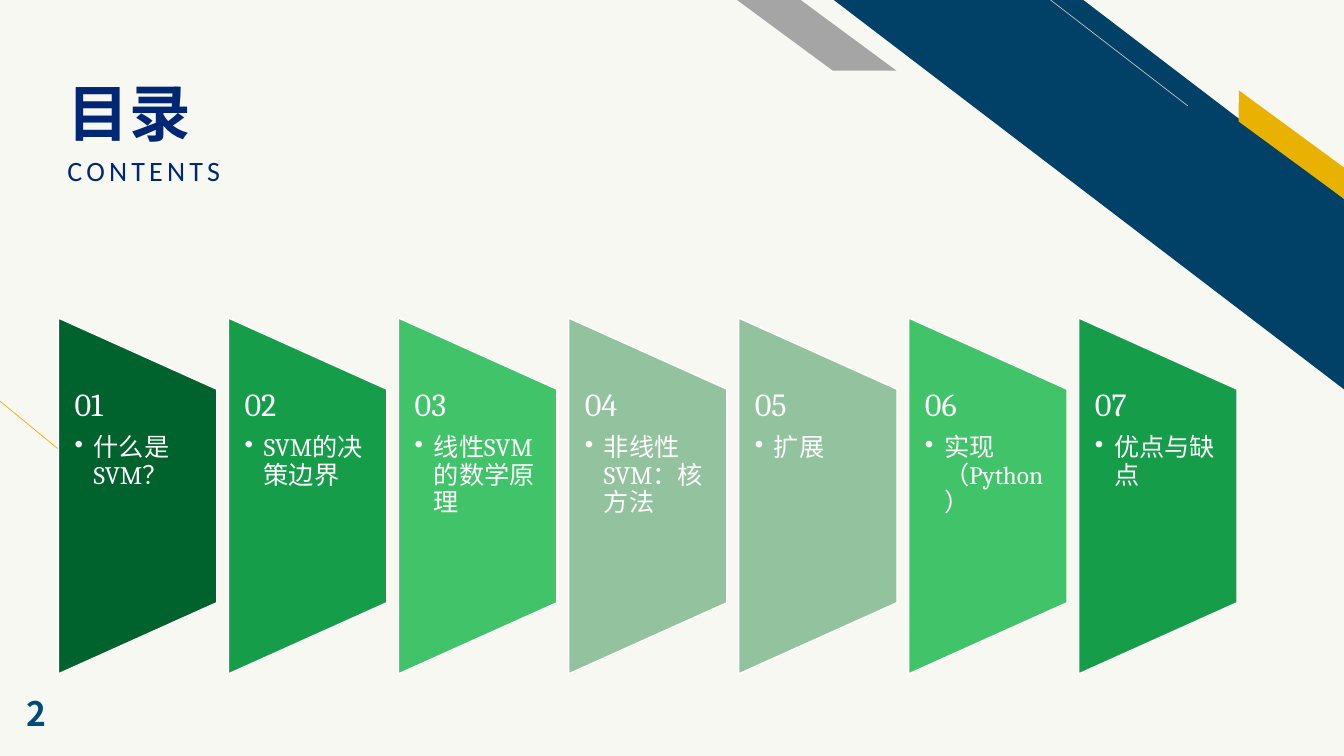
from lxml import etree
from pptx import Presentation
from pptx.dml.color import RGBColor
from pptx.enum.shapes import MSO_CONNECTOR, MSO_SHAPE
from pptx.enum.text import MSO_ANCHOR
from pptx.oxml.ns import qn
from pptx.util import Inches, Pt

LINE = MSO_CONNECTOR.STRAIGHT
STRIPE = MSO_SHAPE.DIAGONAL_STRIPE
SLANT = MSO_SHAPE.PARALLELOGRAM
PANEL = MSO_SHAPE.FLOWCHART_MANUAL_OPERATION
TOP, MIDDLE, BOTTOM = MSO_ANCHOR.TOP, MSO_ANCHOR.MIDDLE, MSO_ANCHOR.BOTTOM

CREAM, WHITE, GRAY = "F8F8F2", "FFFFFF", "A5A5A5"
NAVY, BLUE, GOLD, TEAL = "002774", "014067", "EAB200", "014B79"
DEEP, GREEN, LIGHT, SAGE = "00622C", "159D49", "41C36A", "93C29F"
SANS, SERIF, HAN = "Calibri", "Cambria", "Noto Sans CJK SC"


def color(code):
    return RGBColor.from_string(code)


class Deck:
    def __init__(self):
        self.prs = Presentation()
        self.prs.slide_width = Inches(13.33)
        self.prs.slide_height = Inches(7.5)
        self.slide = self.prs.slides.add_slide(self.prs.slide_layouts[6])
        fill = self.slide.background.fill
        fill.solid()
        fill.fore_color.rgb = color(CREAM)

    def shape(self, kind, box, fill, adj=None, flip=False, turn=0, edge=None):
        item = self.slide.shapes.add_shape(kind, *map(Inches, box))
        item.shadow.inherit = False
        item.fill.solid()
        item.fill.fore_color.rgb = color(fill)
        if edge:
            item.line.color.rgb = color(edge)
            item.line.width = Pt(1)
        else:
            item.line.fill.background()
        if adj is not None:
            item.adjustments[0] = adj
        if flip:
            item._element.spPr.find(qn("a:xfrm")).set("flipH", "1")
        item.rotation = turn

    def line(self, start, end, tone):
        item = self.slide.shapes.add_connector(LINE, *map(Inches, start + end))
        item.line.color.rgb = color(tone)
        item.line.width = Pt(0.5)
        etree.SubElement(item._element.spPr, qn("a:effectLst"))

    def text(self, box, text, anchor=TOP, pad=(0.1, 0.05, 0.1, 0.05)):
        frame = self.slide.shapes.add_textbox(*map(Inches, box)).text_frame
        frame.word_wrap = True
        frame.vertical_anchor = anchor
        (frame.margin_left, frame.margin_top,
         frame.margin_right, frame.margin_bottom) = map(Inches, pad)
        frame.text = text
        return frame.paragraphs

    def style(self, para, size, font, tone, bold=False, track=0, lead=0.9, after=0):
        para.line_spacing = lead
        para.space_after = Pt(after)
        for run in para.runs:
            run.font.size = Pt(size)
            run.font.name = font
            run.font.bold = bold
            run.font.color.rgb = color(tone)
            props = run.font._element
            etree.SubElement(props, qn("a:ea")).set("typeface", HAN)
            if track:
                props.set("spc", str(track * 100))

    def bullet(self, para, indent):
        props = para._p.get_or_add_pPr()
        props.set("marL", str(Inches(indent)))
        props.set("indent", str(-Inches(indent)))
        etree.SubElement(props, qn("a:buChar")).set("char", "•")


def main():
    deck = Deck()

    # Corner stripes and thin lines
    deck.line((2.08, 5.69), (0, 3.98), GOLD)
    deck.shape(STRIPE, (8.27, 0, 5.07, 3.87), BLUE, 0.512, flip=True)
    deck.line((11.78, 1.05), (10.42, 0), "BFBFBF")
    deck.shape(SLANT, (12.07, 1.31, 1.48, 0.25), GOLD, 0.72, flip=True, turn=36.3)
    deck.shape(SLANT, (7.31, 0, 1.58, 0.7), GRAY, 1.356, flip=True)

    # Heading
    title, = deck.text((0.57, 0.23, 9.11, 1.26), "目录", BOTTOM, (0.1, 0.05, 0.1, 0))
    deck.style(title, 44, HAN, NAVY, bold=True)
    label, = deck.text((0.57, 1.51, 8.06, 0.44), "CONTENTS")
    deck.style(label, 20, SANS, NAVY, track=3)

    # Chapter panels, each a trapezoid on its side
    topics = [
        ("什么是SVM？", DEEP),
        ("SVM的决策边界", GREEN),
        ("线性SVM的数学原理", LIGHT),
        ("非线性SVM：核方法", SAGE),
        ("扩展", SAGE),
        ("实现（Python）", LIGHT),
        ("优点与缺点", GREEN),
    ]
    wide, tall, mid = 1.57, 3.53, 4.92
    step = 10.12 / (len(topics) - 1)
    for i, (topic, fill) in enumerate(topics):
        left = 0.58 + i * step
        deck.shape(PANEL, (left + (wide - tall) / 2, mid - wide / 2, tall, wide),
                   fill, turn=270, edge=WHITE)
        number, entry = deck.text((left, 3.86, wide, 2.12), f"{i + 1:02}\n{topic}",
                                  pad=(0.16, 0, 0.16, 0))
        deck.style(number, 23, SERIF, WHITE, after=8)
        deck.style(entry, 18, SERIF, WHITE, after=2.7)
        deck.bullet(entry, 0.19)

    # Page number
    page, = deck.text((0.16, 6.87, 1.38, 0.4), "2", MIDDLE)
    deck.style(page, 24, HAN, TEAL, bold=True, lead=1.0)

    deck.prs.save("out.pptx")


if __name__ == "__main__":
    main()
